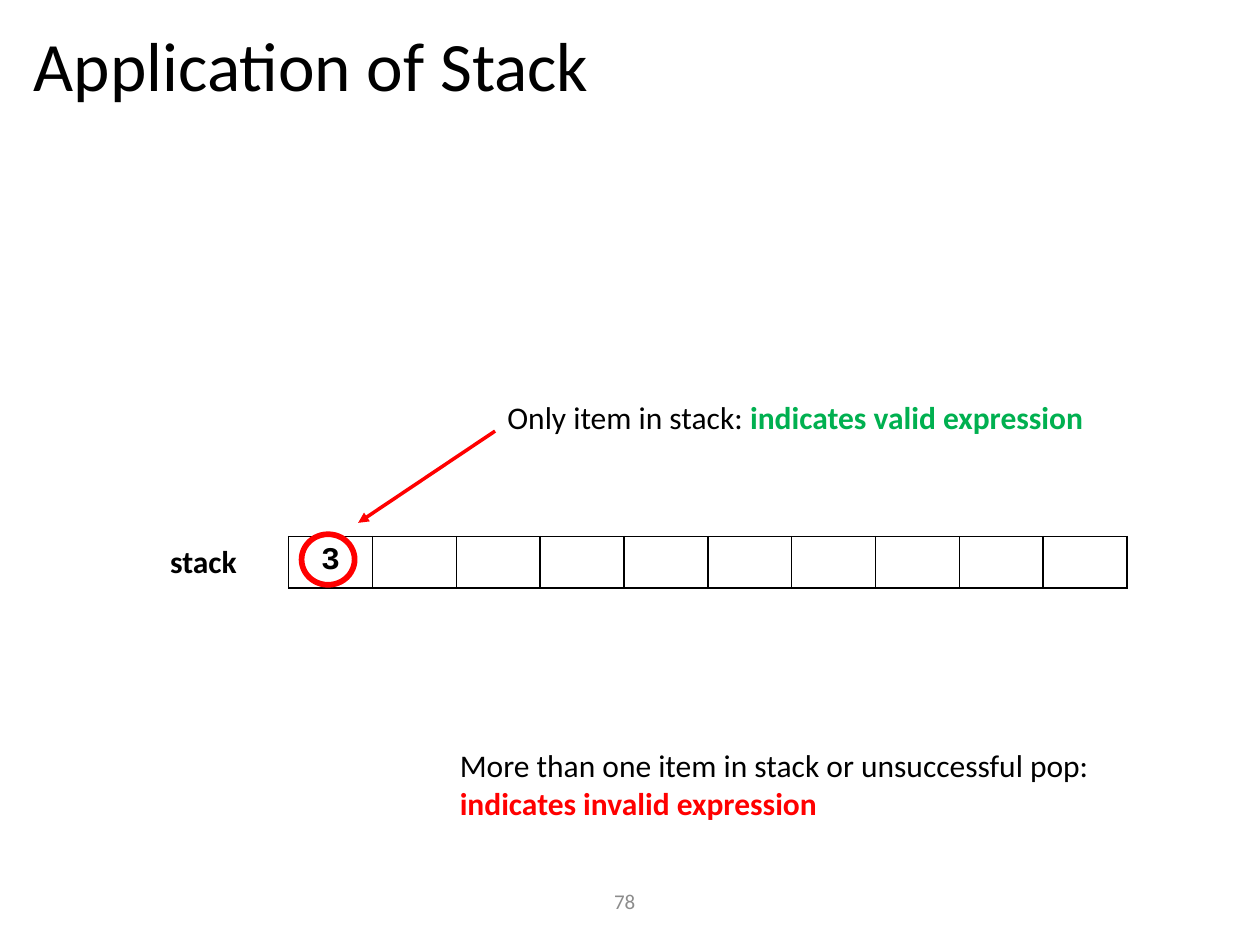
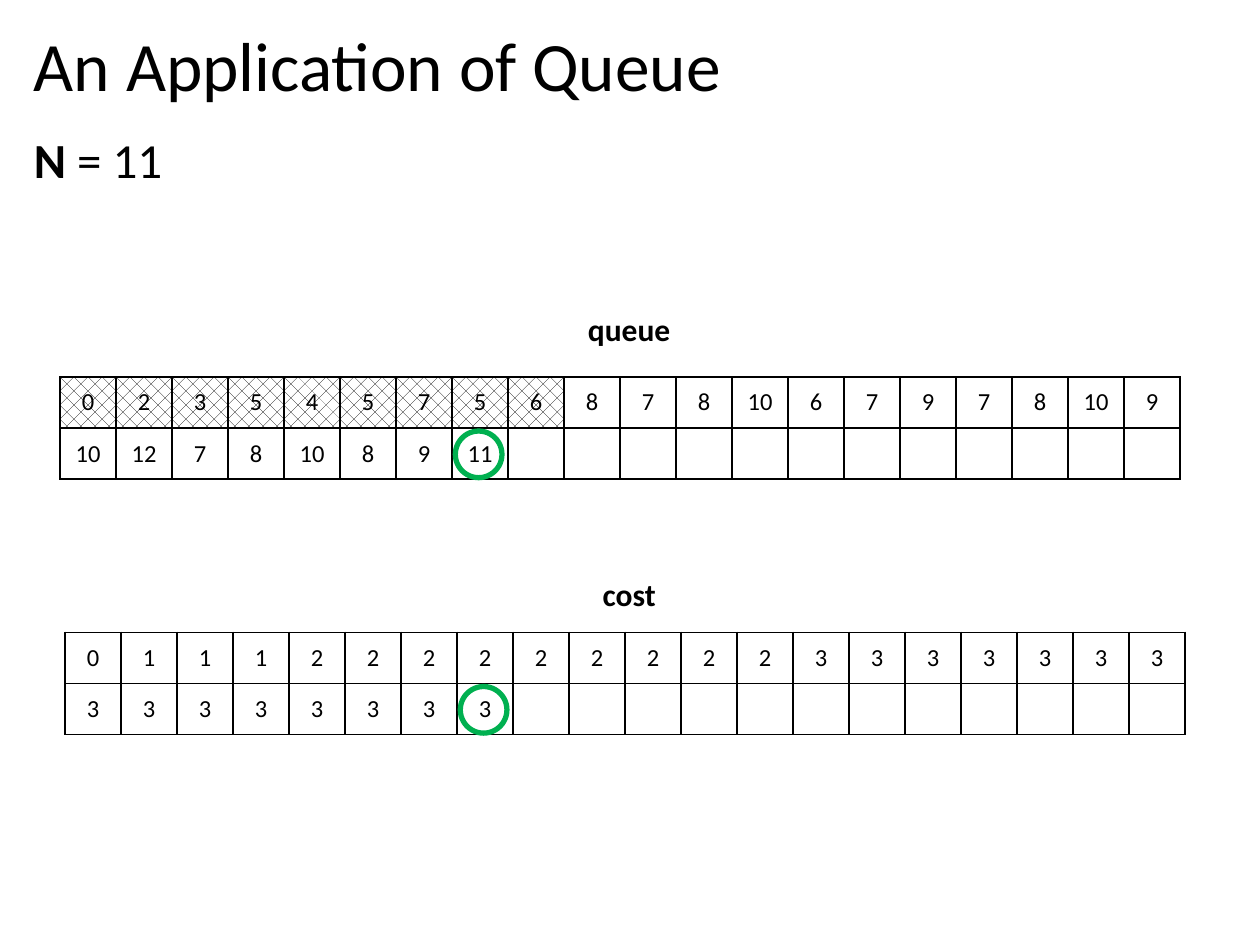
from lxml.etree import SubElement
from pptx import Presentation
from pptx.dml.color import RGBColor
from pptx.enum.dml import MSO_PATTERN
from pptx.enum.shapes import MSO_CONNECTOR, MSO_SHAPE
from pptx.enum.text import MSO_ANCHOR, PP_ALIGN
from pptx.oxml.ns import qn
from pptx.util import Cm, Pt

BLACK = RGBColor(0x00, 0x00, 0x00)
WHITE = RGBColor(0xFF, 0xFF, 0xFF)
GREY = RGBColor(0x8C, 0x8C, 0x8C)
RED = RGBColor(0xFF, 0x00, 0x00)
GREEN = RGBColor(0x00, 0xB0, 0x50)

BODY_FONT = "Calibri"
CODE_FONT = "Courier New"
TITLE_BOX = (0.43, 0.46, 24.43, 1.88)
BODY_BOX = (0.43, 2.62, 24.43, 14.55)
ROW_HEIGHT = 1.03

QUEUE_ROWS = [
    [0, 2, 3, 5, 4, 5, 7, 5, 6, 8, 7, 8, 10, 6, 7, 9, 7, 8, 10, 9],
    [10, 12, 7, 8, 10, 8, 9, 11],
]
COST_ROWS = [[0] + [1] * 3 + [2] * 9 + [3] * 7, [3] * 8]
QUEUE_COLUMNS = 20
DEQUEUED = 9
TARGET_CELL = (1, 7)


def format_run(run, size, color=BLACK, bold=False, font_name=BODY_FONT):
    run.font.name = font_name
    run.font.size = Pt(size)
    run.font.bold = bold
    run.font.color.rgb = color


def write_pieces(paragraph, pieces, size):
    for text, color, bold in pieces:
        run = paragraph.add_run()
        run.text = text
        format_run(run, size, color, bold)


def place(shape, box):
    shape.left, shape.top, shape.width, shape.height = map(Cm, box)


def add_title(slide, text):
    title = slide.shapes.title
    place(title, TITLE_BOX)
    title.text_frame.text = text
    title.text_frame.vertical_anchor = MSO_ANCHOR.MIDDLE
    paragraph = title.text_frame.paragraphs[0]
    paragraph.alignment = PP_ALIGN.LEFT
    paragraph.line_spacing = 0.9
    format_run(paragraph.runs[0], 39.6)


def add_body(slide, pieces):
    body = slide.placeholders[1]
    place(body, BODY_BOX)
    paragraph = body.text_frame.paragraphs[0]
    properties = paragraph._p.get_or_add_pPr()
    properties.set("marL", "0")
    properties.set("indent", "0")
    SubElement(properties, qn("a:buNone"))
    paragraph.line_spacing = 0.9
    paragraph.space_before = Pt(0)
    write_pieces(paragraph, pieces, 28)


def add_label(slide, box, pieces, size=18, alignment=PP_ALIGN.LEFT):
    label = slide.shapes.add_textbox(*map(Cm, box))
    label.text_frame.word_wrap = True
    label.text_frame.vertical_anchor = MSO_ANCHOR.MIDDLE
    paragraph = label.text_frame.paragraphs[0]
    paragraph.alignment = alignment
    write_pieces(paragraph, pieces, size)


def add_borders(cell):
    properties = cell._tc.get_or_add_tcPr()
    for side in ("lnL", "lnR", "lnT", "lnB"):
        line = SubElement(properties, qn(f"a:{side}"), w=str(Pt(1)))
        fill = SubElement(line, qn("a:solidFill"))
        SubElement(fill, qn("a:srgbClr"), val=str(BLACK))


def add_array(slide, left, top, column_width, column_count, rows, size,
              anchor=MSO_ANCHOR.MIDDLE, font_name=BODY_FONT, bold=False, hatched=0):
    table = slide.shapes.add_table(
        len(rows), column_count, Cm(left), Cm(top),
        Cm(column_width * column_count), Cm(ROW_HEIGHT * len(rows))).table
    table.first_row = table.horz_banding = False
    for column in table.columns:
        column.width = Cm(column_width)
    for row_index, values in enumerate(rows):
        table.rows[row_index].height = Cm(ROW_HEIGHT)
        for column_index in range(column_count):
            cell = table.cell(row_index, column_index)
            add_borders(cell)
            if row_index == 0 and column_index < hatched:
                cell.fill.patterned()
                cell.fill.pattern = MSO_PATTERN.PERCENT_25
                cell.fill.fore_color.rgb = BLACK
                cell.fill.back_color.rgb = WHITE
            else:
                cell.fill.background()
            if column_index < len(values):
                cell.vertical_anchor = anchor
                cell.text_frame.text = str(values[column_index])
                paragraph = cell.text_frame.paragraphs[0]
                paragraph.alignment = PP_ALIGN.CENTER
                format_run(paragraph.runs[0], size, BLACK, bold, font_name)


def add_ring(slide, box, color, width):
    ring = slide.shapes.add_shape(MSO_SHAPE.OVAL, *map(Cm, box))
    ring.shadow.inherit = False
    ring.fill.background()
    ring.line.color.rgb = color
    ring.line.width = Pt(width)


def add_arrow(slide, start, end):
    arrow = slide.shapes.add_connector(MSO_CONNECTOR.STRAIGHT, *map(Cm, start + end))
    arrow.line.color.rgb = RED
    arrow.line.width = Pt(2)
    SubElement(arrow.line._get_or_add_ln(), qn("a:tailEnd"), type="triangle")
    SubElement(arrow._element.spPr, qn("a:effectLst"))


def add_stack(slide, left, top):
    add_array(slide, left, top, 1.69, 10, [[3]], 18, MSO_ANCHOR.TOP, CODE_FONT, True)
    add_label(slide, (left - 2.64, top - 0.02, 2.26, 1.02), [("stack", BLACK, True)])
    add_label(slide, (left + 3.2, top + 4.09, 14.35, 1.8), [
        ("More than one item in stack or unsuccessful pop: ", BLACK, False),
        ("indicates invalid expression", RED, True)])
    add_label(slide, (left + 4.16, top - 2.92, 14.35, 1.02), [
        ("Only item in stack: ", BLACK, False),
        ("indicates valid expression", GREEN, True)])
    add_ring(slide, (left + 0.26, top - 0.05, 1.07, 1.02), RED, 3.25)
    add_arrow(slide, (left + 4.16, top - 2.13), (left + 1.4, top - 0.28))


def add_search_array(slide, left, top, name, label_top, rows, hatched=0):
    column_width = 1.13
    add_array(slide, left, top, column_width, QUEUE_COLUMNS, rows, 14, hatched=hatched)
    add_label(slide, (11.43, label_top, 2.51, 1.02), [(name, BLACK, True)],
              alignment=PP_ALIGN.CENTER)
    row, column = TARGET_CELL
    ring_left = left + column * column_width + 0.06
    ring_top = top + row * ROW_HEIGHT + 0.06
    add_ring(slide, (ring_left, ring_top, 0.94, 0.94), GREEN, 3)


def build_stack_slide(presentation):
    slide = presentation.slides.add_slide(presentation.slide_layouts[5])
    add_title(slide, "Application of Stack")
    add_stack(slide, 5.82, 10.82)
    add_label(slide, (6.65, 17.65, 11.89, 1.02), [("78", GREY, False)], 12,
              PP_ALIGN.CENTER)


def build_queue_slide(presentation):
    slide = presentation.slides.add_slide(presentation.slide_layouts[1])
    add_title(slide, "An Application of Queue")
    add_body(slide, [("N", BLACK, True), (" = 11", BLACK, False)])
    add_search_array(slide, 1.21, 7.6, "queue", 6.12, QUEUE_ROWS, DEQUEUED)
    add_search_array(slide, 1.31, 12.75, "cost", 11.46, COST_ROWS)


def main():
    presentation = Presentation()
    presentation.slide_width = Cm(25.4)
    presentation.slide_height = Cm(19.05)
    build_stack_slide(presentation)
    build_queue_slide(presentation)
    presentation.save("out.pptx")


if __name__ == "__main__":
    main()
